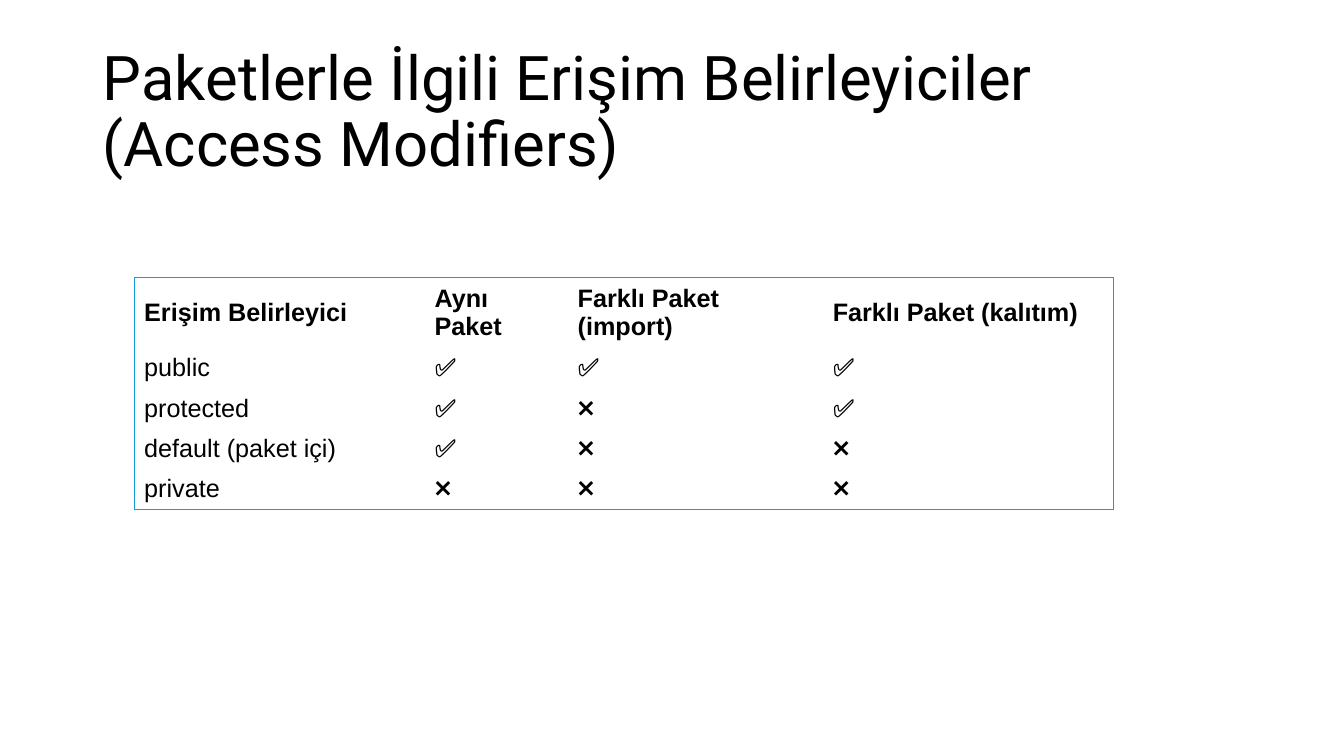
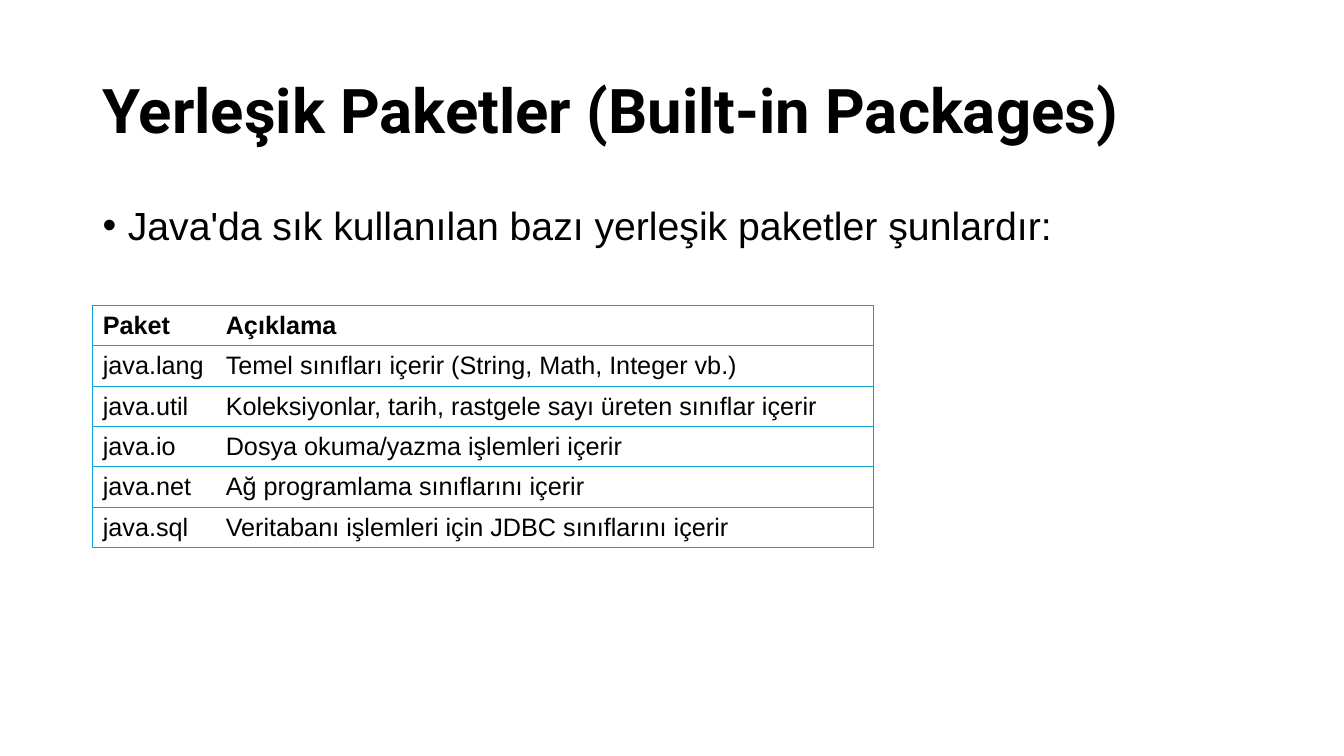
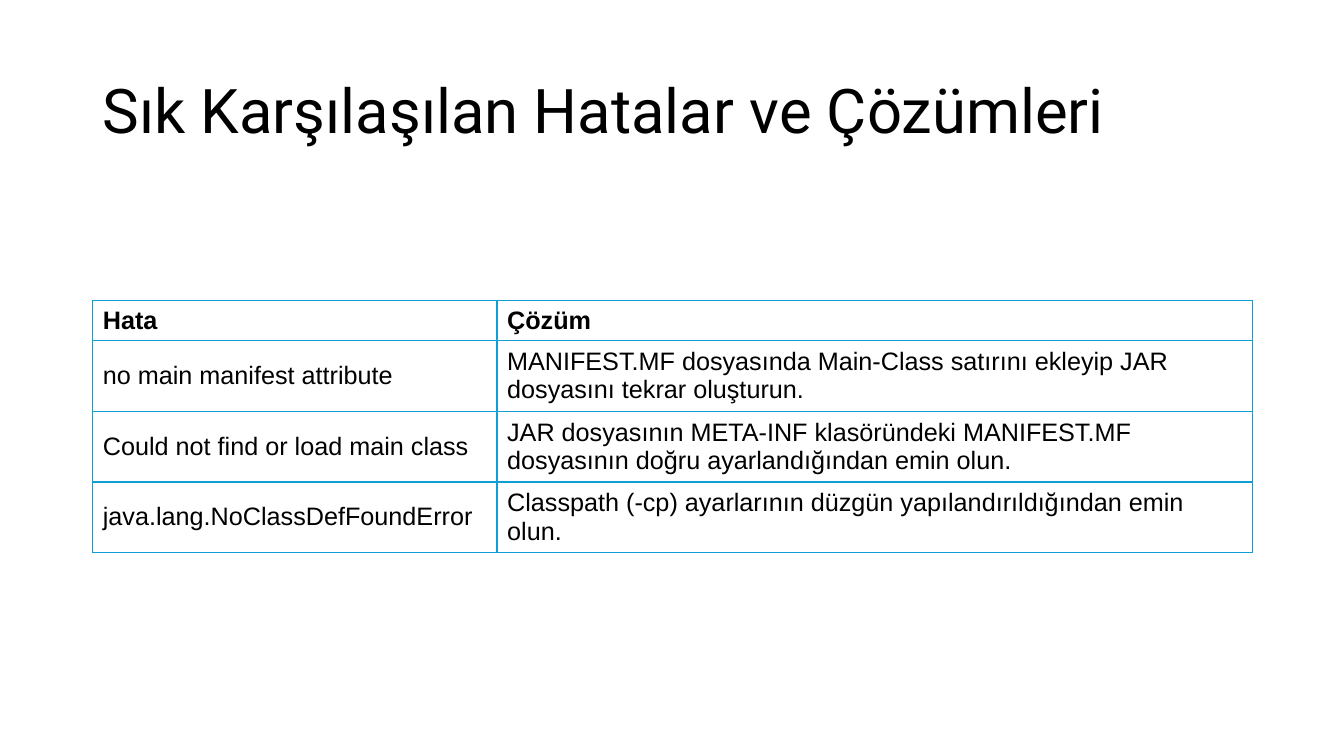
"""Builds three slides on Java packages: access modifiers, built-in packages, common errors."""
from lxml.etree import SubElement
from pptx import Presentation
from pptx.dml.color import RGBColor
from pptx.enum.text import MSO_ANCHOR
from pptx.oxml.ns import qn
from pptx.util import Inches, Pt

COLORS = {"text": "000000", "paper": "FFFFFF", "border": "0F9ED5"}
FONTS = {"title": "Roboto", "body": "Arial"}
NO_GRID_STYLE = "{2D5ABB26-0587-4C30-8999-92F81FD0307C}"
MARGIN, CONTENT_W = 0.92, 11.5
TITLE_BOX = (MARGIN, 0.4, CONTENT_W, 1.45)
BODY_BOX = (MARGIN, 2, CONTENT_W, 4.76)
LINE_H, CELL_PAD = 0.28, 0.1
YES, NO = "✅", "❌"

SLIDES = [
    {
        "title": "Paketlerle İlgili Erişim Belirleyiciler (Access Modifiers)",
        "table": {
            "at": (1.33, 2.75), "cols": (2.88, 1.42, 2.53, 2.88),
            "lines": (2, 1, 1, 1, 1), "inner": "", "weight": 0.75,
            "rows": [
                ("Erişim Belirleyici", "Aynı Paket", "Farklı Paket (import)",
                 "Farklı Paket (kalıtım)"),
                ("public", YES, YES, YES),
                ("protected", YES, NO, YES),
                ("default (paket içi)", YES, NO, NO),
                ("private", NO, NO, NO),
            ],
        },
    },
    {
        "title": "Yerleşik Paketler (Built-in Packages)",
        "title_bold": True,
        "bullet": "Java'da sık kullanılan bazı yerleşik paketler şunlardır:",
        "table": {
            "at": (MARGIN, 3.03), "cols": (1.22, 6.52),
            "lines": (1,) * 6, "inner": "TB", "weight": 1, "fill": "paper",
            "rows": [
                ("Paket", "Açıklama"),
                ("java.lang", "Temel sınıfları içerir (String, Math, Integer vb.)"),
                ("java.util", "Koleksiyonlar, tarih, rastgele sayı üreten sınıflar içerir"),
                ("java.io", "Dosya okuma/yazma işlemleri içerir"),
                ("java.net", "Ağ programlama sınıflarını içerir"),
                ("java.sql", "Veritabanı işlemleri için JDBC sınıflarını içerir"),
            ],
        },
    },
    {
        "title": "Sık Karşılaşılan Hatalar ve Çözümleri",
        "table": {
            "at": (MARGIN, 2.98), "cols": (4.01, 7.49),
            "lines": (1, 2, 2, 2), "inner": "LRTB", "weight": 1,
            "rows": [
                ("Hata", "Çözüm"),
                ("no main manifest attribute",
                 "MANIFEST.MF dosyasında Main-Class satırını ekleyip JAR dosyasını "
                 "tekrar oluşturun."),
                ("Could not find or load main class",
                 "JAR dosyasının META-INF klasöründeki MANIFEST.MF dosyasının doğru "
                 "ayarlandığından emin olun."),
                ("java.lang.NoClassDefFoundError",
                 "Classpath (-cp) ayarlarının düzgün yapılandırıldığından emin olun."),
            ],
        },
    },
]


def write(p, text, font, size, bold=False):
    r = p.add_run()
    r.text = text
    style = {"name": FONTS[font], "size": Pt(size), "bold": bold}
    for name, value in style.items():
        setattr(r.font, name, value)
    r.font.color.rgb = RGBColor.from_string(COLORS["text"])


def add_text(s, box, text, font, size, bold=False, anchor=MSO_ANCHOR.TOP):
    tf = s.shapes.add_textbox(*map(Inches, box)).text_frame
    tf.word_wrap = True
    tf.vertical_anchor = anchor
    p = tf.paragraphs[0]
    p.line_spacing = 0.9
    write(p, text, font, size, bold)
    return p


def add_bullet(p):
    pPr = p._p.get_or_add_pPr()
    pPr.set("marL", str(Inches(0.25)))
    pPr.set("indent", str(Inches(-0.25)))
    SubElement(pPr, qn("a:buFont"), typeface=FONTS["body"])
    SubElement(pPr, qn("a:buChar"), char="•")


def set_borders(cell, sides, weight):
    tcPr = cell._tc.get_or_add_tcPr()
    for side in sides:
        ln = SubElement(tcPr, qn(f"a:ln{side}"), w=str(Pt(weight)))
        fill = SubElement(ln, qn("a:solidFill"))
        SubElement(fill, qn("a:srgbClr"), val=COLORS["border"])


def add_table(s, at, cols, lines, inner, weight, rows, fill=None):
    heights = [n * LINE_H + CELL_PAD for n in lines]
    size = (sum(cols), sum(heights))
    table = s.shapes.add_table(len(rows), len(cols), *map(Inches, at + size)).table
    table.first_row = table.horz_banding = False
    table._tbl.tblPr.find(qn("a:tableStyleId")).text = NO_GRID_STYLE
    for col, width in zip(table.columns, cols):
        col.width = Inches(width)
    for i, (row, height) in enumerate(zip(rows, heights)):
        table.rows[i].height = Inches(height)
        for j, text in enumerate(row):
            cell = table.cell(i, j)
            cell.vertical_anchor = MSO_ANCHOR.MIDDLE
            write(cell.text_frame.paragraphs[0], text, "body", 18, i == 0)
            outer = {"L": j == 0, "R": j == len(cols) - 1,
                     "T": i == 0, "B": i == len(rows) - 1}
            set_borders(cell, [k for k in outer if outer[k] or k in inner], weight)
            if fill:
                cell.fill.solid()
                cell.fill.fore_color.rgb = RGBColor.from_string(COLORS[fill])
            else:
                cell.fill.background()


def main():
    prs = Presentation()
    prs.slide_width, prs.slide_height = Inches(13.33), Inches(7.5)
    for content in SLIDES:
        s = prs.slides.add_slide(prs.slide_layouts[6])
        add_text(s, TITLE_BOX, content["title"], "title", 44,
                 content.get("title_bold", False), MSO_ANCHOR.MIDDLE)
        if "bullet" in content:
            add_bullet(add_text(s, BODY_BOX, content["bullet"], "body", 28))
        add_table(s, **content["table"])
    prs.save("out.pptx")


if __name__ == "__main__":
    main()
